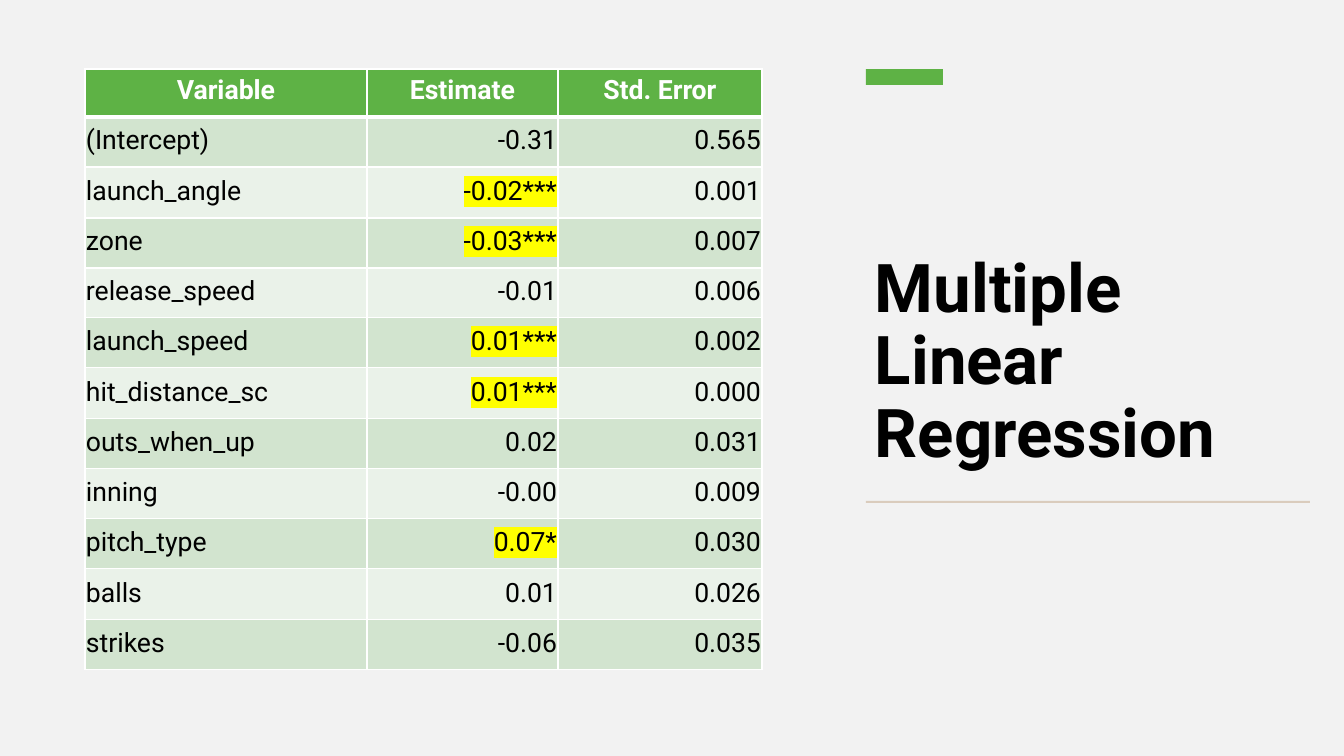
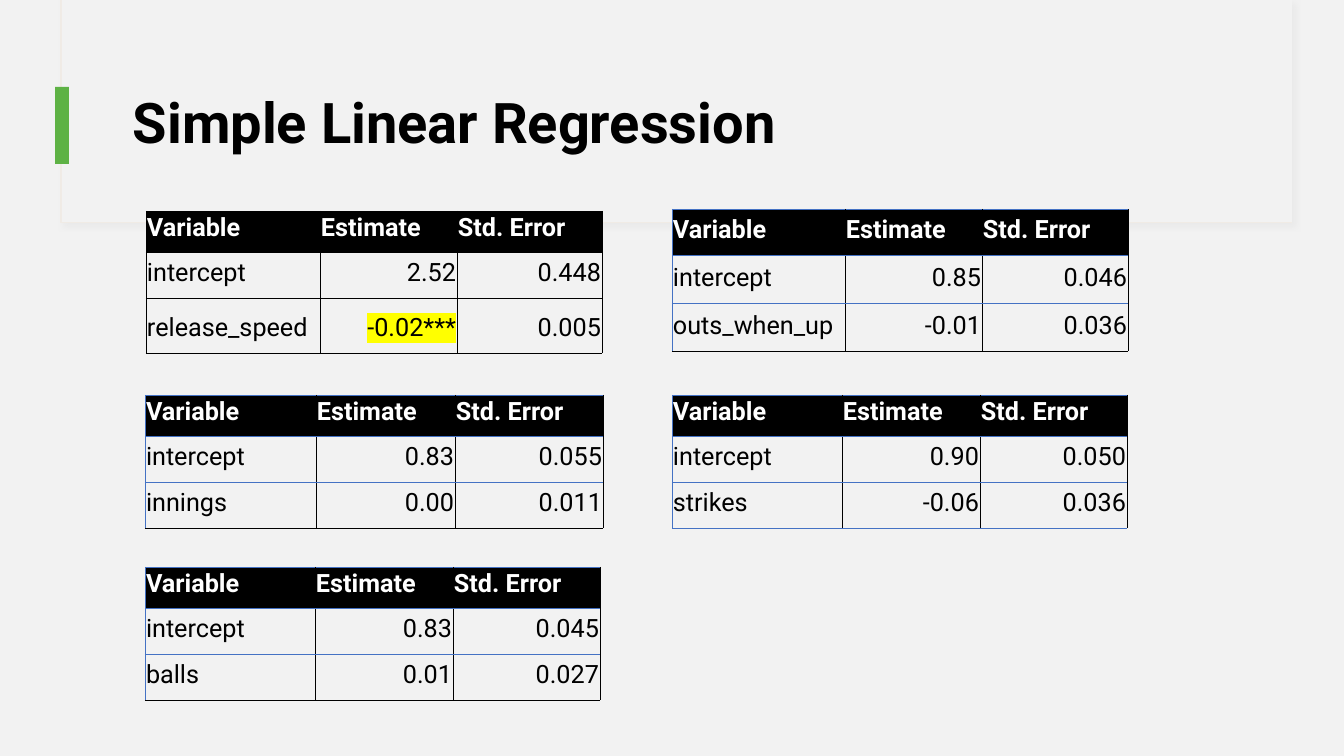
"""Build two slides of regression tables."""
from dataclasses import dataclass

from lxml.etree import SubElement
from pptx import Presentation
from pptx.dml.color import RGBColor
from pptx.enum.shapes import MSO_SHAPE as Preset
from pptx.enum.text import MSO_ANCHOR as Anchor, PP_ALIGN as Align
from pptx.oxml.ns import qn
from pptx.shapes.autoshape import Shape
from pptx.slide import Slide
from pptx.table import _Cell as Cell
from pptx.text.text import _Paragraph as Paragraph
from pptx.util import Emu, Pt

EMU_PER_PX = 12192000 / 1344
FONT = "Roboto"
BACKGROUND = "F2F2F2"
GREEN = "5EB245"
BLACK = "000000"
WHITE = "FFFFFF"
BLUE = "4472C4"
YELLOW = "FFFF00"
HEADINGS = ("Variable", "Estimate", "Std. Error")


@dataclass(frozen=True)
class Box:
    """A rectangle in px."""
    left: int
    top: int
    width: int
    height: int


@dataclass(frozen=True)
class TableStyle:
    """Type, fills and borders of a table."""
    size: int
    header_fill: str
    header_align: Align
    body_fills: tuple[str, ...]
    bottom_inset: int
    line_width: float
    header_rule_width: float
    left: str
    vertical: str
    horizontal: str
    bottom: str


@dataclass(frozen=True)
class RegressionTable:
    """Place, grid and values of a table."""
    left: int
    top: int
    columns: tuple[int, ...]
    row_heights: tuple[int, ...]
    rows: tuple[tuple[str, str, str], ...]
    style: TableStyle


def px(length: float) -> Emu:
    """Turn px into EMU."""
    return Emu(round(length * EMU_PER_PX))


def colour(value: str) -> RGBColor:
    """Read a hex colour."""
    return RGBColor.from_string(value)


def split(total: int, count: int) -> tuple[int, ...]:
    """Share a length among parts in whole px."""
    edges = [round(total * index / count) for index in range(count + 1)]
    return tuple(end - start for start, end in zip(edges, edges[1:]))


def add_text(paragraph: Paragraph, text: str, size: int, hex_colour: str,
             bold: bool = False, highlight: bool = False) -> None:
    """Add one run."""
    run = paragraph.add_run()
    run.text = text
    font = run.font
    font.name, font.size, font.bold = FONT, Pt(size), bold
    font.color.rgb = colour(hex_colour)
    if highlight:
        properties = run._r.get_or_add_rPr()
        mark = SubElement(properties, qn("a:highlight"))
        SubElement(mark, qn("a:srgbClr"), val=YELLOW)
        properties.find(qn("a:solidFill")).addnext(mark)


def add_rectangle(slide: Slide, box: Box, fill: str) -> Shape:
    """Add a plain filled rectangle."""
    shape = slide.shapes.add_shape(
        Preset.RECTANGLE, px(box.left), px(box.top), px(box.width), px(box.height))
    shape.shadow.inherit = False
    shape.fill.solid()
    shape.fill.fore_color.rgb = colour(fill)
    shape.line.fill.background()
    return shape


def add_title_band(slide: Slide) -> None:
    """Add the softly shadowed band behind a title."""
    band = add_rectangle(slide, Box(61, 0, 1231, 223), BACKGROUND)
    band.line.color.rgb = colour("F0EBE5")
    band.line.width = Pt(0.75)
    effects = band._element.spPr.find(qn("a:effectLst"))
    shadow = SubElement(effects, qn("a:outerShdw"), blurRad=str(Pt(4)),
                        dist=str(Pt(3)), dir=str(45 * 60000), algn="tl", rotWithShape="0")
    tint = SubElement(shadow, qn("a:srgbClr"), val="D9D9D9")
    SubElement(tint, qn("a:alpha"), val="30000")
    add_rectangle(slide, Box(62, 0, 1230, 222), BACKGROUND)


def add_title(slide: Slide, text: str, box: Box, size: int, anchor: Anchor) -> None:
    """Add a slide title."""
    shape = slide.shapes.add_textbox(
        px(box.left), px(box.top), px(box.width), px(box.height))
    frame = shape.text_frame
    frame.word_wrap = True
    frame.vertical_anchor = anchor
    paragraph = frame.paragraphs[0]
    paragraph.line_spacing = 0.9
    add_text(paragraph, text, size, BLACK, bold=True)


def add_border(cell: Cell, side: str, hex_colour: str, width: float) -> None:
    """Draw one side of a cell."""
    line = SubElement(cell._tc.get_or_add_tcPr(), qn(f"a:ln{side}"), w=str(Pt(width)))
    SubElement(SubElement(line, qn("a:solidFill")), qn("a:srgbClr"), val=hex_colour)


def format_cell(cell: Cell, row: int, column: int, last_row: int,
                style: TableStyle) -> None:
    """Set the borders, fill and insets of a cell."""
    top_width = style.header_rule_width if row == 1 else style.line_width
    bottom_width = style.header_rule_width if row == 0 else style.line_width
    add_border(cell, "L", style.vertical if column else style.left, style.line_width)
    add_border(cell, "R", style.vertical, style.line_width)
    add_border(cell, "T", style.horizontal, top_width)
    add_border(cell, "B", style.bottom if row == last_row else style.horizontal,
               bottom_width)
    fills = style.body_fills
    fill = fills[(row - 1) % len(fills)] if row and fills else style.header_fill
    if row and not fills:
        cell.fill.background()
    else:
        cell.fill.solid()
        cell.fill.fore_color.rgb = colour(fill)
    cell.margin_left = cell.margin_right = cell.margin_top = px(1)
    cell.margin_bottom = px(style.bottom_inset)
    cell.vertical_anchor = Anchor.BOTTOM


def write_cell(cell: Cell, text: str, row: int, column: int, style: TableStyle) -> None:
    """Write a heading, a variable name or a number."""
    paragraph = cell.text_frame.paragraphs[0]
    if row == 0:
        paragraph.alignment = style.header_align
        add_text(paragraph, text, style.size, WHITE, bold=True)
        return
    if column:
        paragraph.alignment = Align.RIGHT
        paragraph.line_spacing = 1.15
    add_text(paragraph, text, style.size, BLACK, highlight=text.endswith("*"))


def add_regression_table(slide: Slide, spec_table: RegressionTable) -> None:
    """Add a table of regression results."""
    rows = (HEADINGS, *spec_table.rows)
    table = slide.shapes.add_table(
        len(rows), len(HEADINGS), px(spec_table.left), px(spec_table.top),
        px(sum(spec_table.columns)), px(sum(spec_table.row_heights))).table
    table.first_row = table.horz_banding = False
    for column, width in zip(table.columns, spec_table.columns):
        column.width = px(width)
    for row, height in zip(table.rows, spec_table.row_heights):
        row.height = px(height)
    for row_index, values in enumerate(rows):
        for column_index, text in enumerate(values):
            cell = table.cell(row_index, column_index)
            format_cell(cell, row_index, column_index, len(rows) - 1, spec_table.style)
            write_cell(cell, text, row_index, column_index, spec_table.style)


def small_style(edge: str, bottom: str) -> TableStyle:
    """Give the black-headed style with its edge colours."""
    return TableStyle(18, BLACK, Align.LEFT, (), 10, 0.38, 0.38,
                      edge, BLACK, edge, bottom)


BANDED = TableStyle(19, GREEN, Align.CENTER, ("D2E4CF", "EAF2E9"), 11, 1, 3,
                    WHITE, WHITE, WHITE, WHITE)
ALL_BLACK = small_style(BLACK, BLACK)
BLUE_OPEN = small_style(BLUE, BLACK)
BLUE_CLOSED = small_style(BLUE, BLUE)
COMPACT_ROWS = (40, 45, 45)

MULTIPLE = RegressionTable(85, 69, (282, 191, 204), (48, *split(553, 11)), (
    ("(Intercept)", "-0.31", "0.565"),
    ("launch_angle", "-0.02***", "0.001"),
    ("zone", "-0.03***", "0.007"),
    ("release_speed", "-0.01", "0.006"),
    ("launch_speed", "0.01***", "0.002"),
    ("hit_distance_sc", "0.01***", "0.000"),
    ("outs_when_up", "0.02", "0.031"),
    ("inning", "-0.00", "0.009"),
    ("pitch_type", "0.07*", "0.030"),
    ("balls", "0.01", "0.026"),
    ("strikes", "-0.06", "0.035"),
), BANDED)

SIMPLE = (
    RegressionTable(146, 211, (174, 137, 145), (40, 45, 55), (
        ("intercept", "2.52", "0.448"),
        ("release_speed", "-0.02***", "0.005")), ALL_BLACK),
    RegressionTable(672, 209, (173, 137, 146), (46, 48, 48), (
        ("intercept", "0.85", "0.046"),
        ("outs_when_up", "-0.01", "0.036")), BLUE_OPEN),
    RegressionTable(145, 395, (171, 139, 148), COMPACT_ROWS, (
        ("intercept", "0.83", "0.055"),
        ("innings", "0.00", "0.011")), BLUE_OPEN),
    RegressionTable(672, 395, (170, 138, 147), COMPACT_ROWS, (
        ("intercept", "0.90", "0.050"),
        ("strikes", "-0.06", "0.036")), BLUE_CLOSED),
    RegressionTable(145, 567, (170, 138, 147), COMPACT_ROWS, (
        ("intercept", "0.83", "0.045"),
        ("balls", "0.01", "0.027")), BLUE_OPEN),
)


def build_multiple(slide: Slide) -> None:
    """Draw the multiple regression slide."""
    add_title(slide, "Multiple Linear Regression", Box(865, 124, 444, 353), 48,
              Anchor.BOTTOM)
    add_rectangle(slide, Box(866, 69, 77, 16), GREEN)
    add_rectangle(slide, Box(866, 501, 444, 2), "DACCBD")
    add_regression_table(slide, MULTIPLE)


def build_simple(slide: Slide) -> None:
    """Draw the simple regression slide."""
    add_title_band(slide)
    add_rectangle(slide, Box(55, 87, 14, 77), GREEN)
    add_title(slide, "Simple Linear Regression", Box(123, 60, 1121, 130), 40,
              Anchor.MIDDLE)
    for table in SIMPLE:
        add_regression_table(slide, table)


def main() -> None:
    """Build and save the presentation."""
    presentation = Presentation()
    presentation.slide_width, presentation.slide_height = px(1344), px(756)
    background = presentation.slide_master.background.fill
    background.solid()
    background.fore_color.rgb = colour(BACKGROUND)
    for build in (build_multiple, build_simple):
        build(presentation.slides.add_slide(presentation.slide_layouts[6]))
    presentation.save("out.pptx")


if __name__ == "__main__":
    main()
